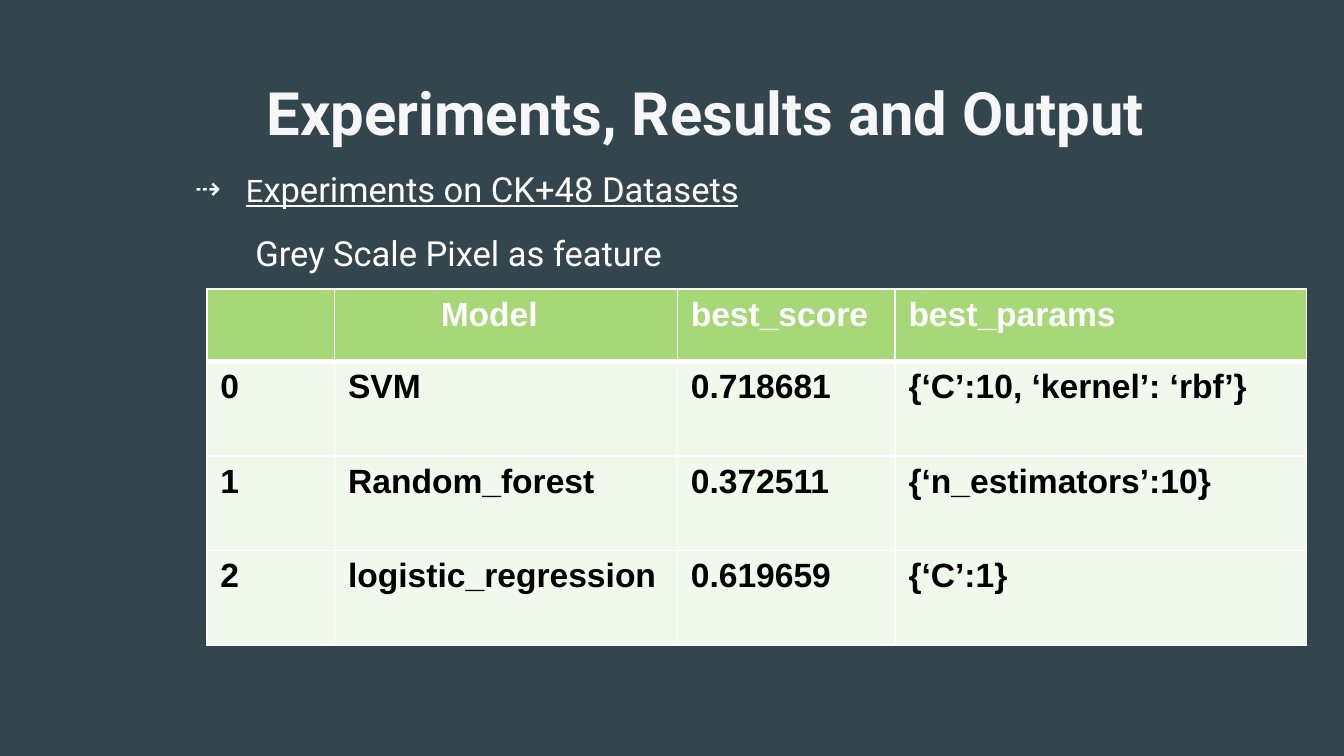
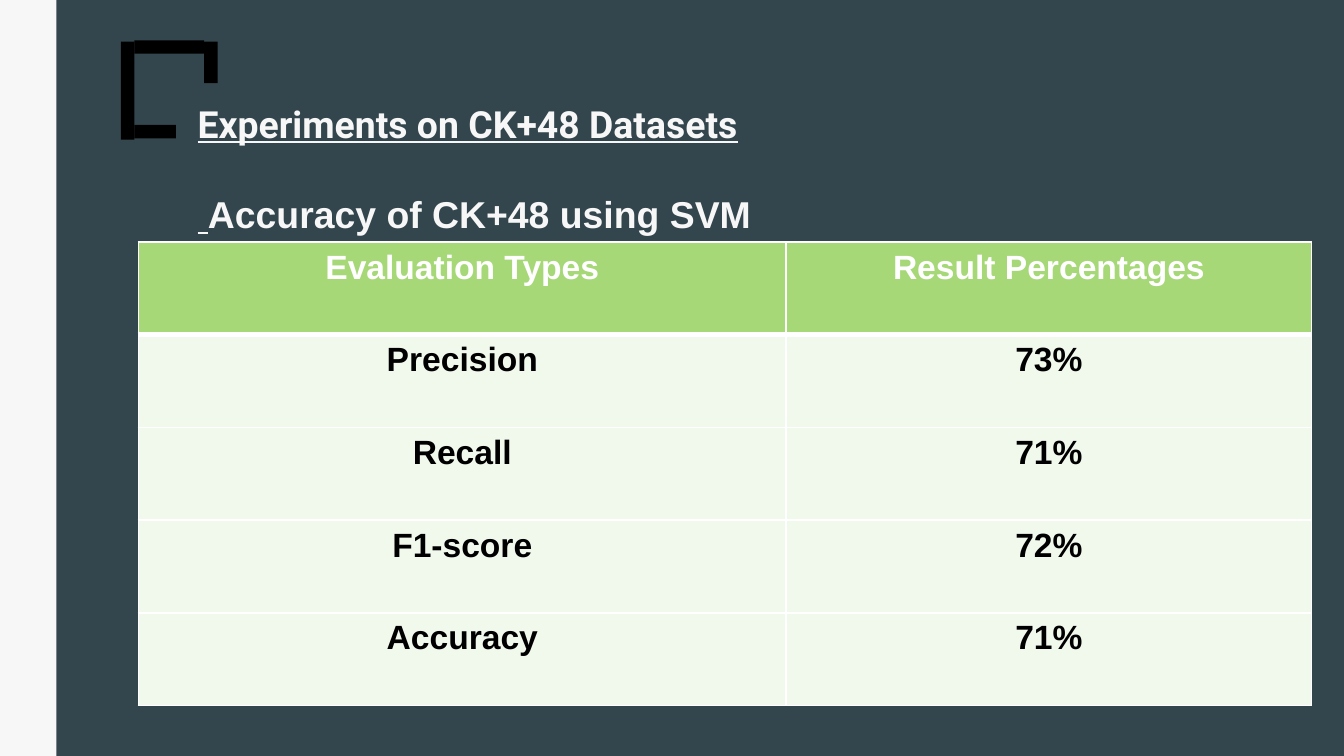
from lxml.etree import SubElement
from pptx import Presentation
from pptx.dml.color import RGBColor
from pptx.enum.shapes import MSO_SHAPE as Preset
from pptx.enum.text import MSO_ANCHOR as Anchor, MSO_AUTO_SIZE as AutoSize, PP_ALIGN as Align
from pptx.oxml import parse_xml
from pptx.oxml.ns import nsdecls, qn
from pptx.util import Inches, Pt

COLORS = {
    "slate": "34464D",
    "mist": "F7F7F7",
    "white": "FFFFFF",
    "black": "000000",
    "green": "A7D878",
    "pale": "F1F8EC",
}
HEADING_FONT = "Roboto"
TABLE_FONT = "Arial"
WIDTH = 10
HEIGHT = WIDTH * 9 / 16
TITLE_ONLY, TITLE_AND_BODY = 5, 1


def rgb(name):
    return RGBColor.from_string(COLORS[name])


class SlideBuilder:
    def __init__(self):
        self.deck = Presentation()
        self.deck.slide_width, self.deck.slide_height = Inches(WIDTH), Inches(HEIGHT)
        self.page = None

    def start_page(self, layout):
        self.page = self.deck.slides.add_slide(self.deck.slide_layouts[layout])
        fill = self.page.background.fill
        fill.solid()
        fill.fore_color.rgb = rgb("slate")

    def style(self, para, font, size, color, bold=False, underline=False, align=Align.LEFT):
        para.alignment = align
        para.font.name, para.font.size = font, Pt(size)
        para.font.bold, para.font.underline = bold, underline
        para.font.color.rgb = rgb(color)

    def place(self, box, left, top, width, height, anchor):
        box.left, box.top = Inches(left), Inches(top)
        box.width, box.height = Inches(width), Inches(height)
        frame = box.text_frame
        frame.word_wrap, frame.auto_size = True, AutoSize.NONE
        frame.vertical_anchor = anchor
        return frame

    def title(self, bounds, anchor=Anchor.MIDDLE):
        return self.place(self.page.shapes.title, *bounds, anchor)

    def body(self, bounds):
        frame = self.place(self.page.placeholders[1], *bounds, Anchor.TOP)
        frame.margin_top = Inches(0.1)
        return frame

    def bullet(self, para, left, hanging=0, mark=None):
        props = para._p.get_or_add_pPr()
        props.set("marL", str(Inches(left)))
        props.set("indent", str(-Inches(hanging)))
        if mark:
            color = SubElement(props, qn("a:buClr"))
            SubElement(color, qn("a:srgbClr")).set("val", COLORS["white"])
            SubElement(props, qn("a:buChar")).set("char", mark)
        else:
            SubElement(props, qn("a:buNone"))

    def bar(self, left, top, width, height, color):
        shape = self.page.shapes.add_shape(
            Preset.RECTANGLE, Inches(left), Inches(top), Inches(width), Inches(height))
        shape.shadow.inherit = False
        shape.fill.solid()
        shape.fill.fore_color.rgb = rgb(color)
        shape.line.fill.background()

    def borders(self, cell, top, bottom):
        props = cell._tc.get_or_add_tcPr()
        for position, (side, points) in enumerate(zip("LRTB", (1, 1, top, bottom))):
            props.insert(position, parse_xml(
                f'<a:ln{side} {nsdecls("a")} w="{Pt(points)}"><a:solidFill>'
                f'<a:srgbClr val="{COLORS["white"]}"/></a:solidFill></a:ln{side}>'))

    def table(self, left, top, widths, heights, rows, align=Align.LEFT):
        table = self.page.shapes.add_table(
            len(rows), len(widths), Inches(left), Inches(top),
            Inches(sum(widths)), Inches(sum(heights))).table
        table.horz_banding = False
        for column, width in zip(table.columns, widths):
            column.width = Inches(width)
        for row, height in zip(table.rows, heights):
            row.height = Inches(height)
        for r, values in enumerate(rows):
            header = r == 0
            for c, value in enumerate(values):
                cell = table.cell(r, c)
                cell.text = value
                cell.fill.solid()
                cell.fill.fore_color.rgb = rgb("green" if header else "pale")
                self.borders(cell, 3 if r == 1 else 1, 3 if header else 1)
                self.style(cell.text_frame.paragraphs[0], TABLE_FONT, 18,
                           "white" if header else "black", bold=True, align=align)
        return table


def experiments_page(builder):
    builder.start_page(TITLE_AND_BODY)
    heading = builder.title((1.35, 0.52, 7.81, 0.62)).paragraphs[0]
    heading.text = "Experiments, Results and Output"
    builder.style(heading, HEADING_FONT, 32, "mist", bold=True, align=Align.CENTER)

    frame = builder.body((1.35, 1.15, 7.81, 4.3))
    dataset, feature = frame.paragraphs[0], frame.add_paragraph()
    initial = dataset.add_run()
    initial.text = "E"
    initial.font.size = Pt(16.6)
    dataset.add_run().text = "xperiments on CK+48 Datasets"
    feature.text = "Grey Scale Pixel as feature"
    for para in (dataset, feature):
        para.space_before = Pt(12)
    builder.bullet(dataset, 0.38, 0.38, "⇢")
    builder.bullet(feature, 0.45)
    builder.style(dataset, HEADING_FONT, 18.5, "white", underline=True)
    builder.style(feature, HEADING_FONT, 18.5, "white")

    header_height, table_height = 0.54, 2.65
    scores = (
        ("", "Model", "best_score", "best_params"),
        ("0", "SVM", "0.718681", "{‘C’:10, ‘kernel’: ‘rbf’}"),
        ("1", "Random_forest", "0.372511", "{‘n_estimators’:10}"),
        ("2", "logistic_regression", "0.619659", "{‘C’:1}"),
    )
    models = len(scores) - 1
    heights = [header_height] + [(table_height - header_height) / models] * models
    table = builder.table(1.54, 2.15, (0.95, 2.55, 1.62, 3.06), heights, scores)
    table.cell(0, 1).margin_left = Inches(0.79)


def accuracy_page(builder):
    builder.start_page(TITLE_ONLY)
    builder.bar(0, 0, 0.42, HEIGHT, "mist")
    for bounds in ((1, 0.3, 0.52, 0.1), (0.9, 0.31, 0.1, 0.73),
                   (1.52, 0.31, 0.1, 0.31), (1, 0.93, 0.31, 0.1)):
        builder.bar(*bounds, "black")

    frame = builder.title((1.37, 0.7, 7.22, 0.91), Anchor.TOP)
    dataset, accuracy = frame.paragraphs[0], frame.add_paragraph()
    dataset.text = "Experiments on CK+48 Datasets"
    lead = accuracy.add_run()
    lead.text = " "
    lead.font.underline = True
    accuracy.add_run().text = "Accuracy of CK+48 using SVM"
    accuracy.space_before = Pt(24.5)
    builder.style(dataset, HEADING_FONT, 20, "mist", bold=True, underline=True)
    builder.style(accuracy, TABLE_FONT, 20, "mist", bold=True)

    results = (
        ("Evaluation Types", "Result Percentages"),
        ("Precision", "73%"),
        ("Recall", "71%"),
        ("F1-score", "72%"),
        ("Accuracy", "71%"),
    )
    builder.table(1.03, 1.8, (4.82, 3.91), [0.69] * len(results), results, Align.CENTER)


def main():
    builder = SlideBuilder()
    experiments_page(builder)
    accuracy_page(builder)
    builder.deck.save("out.pptx")


if __name__ == "__main__":
    main()
